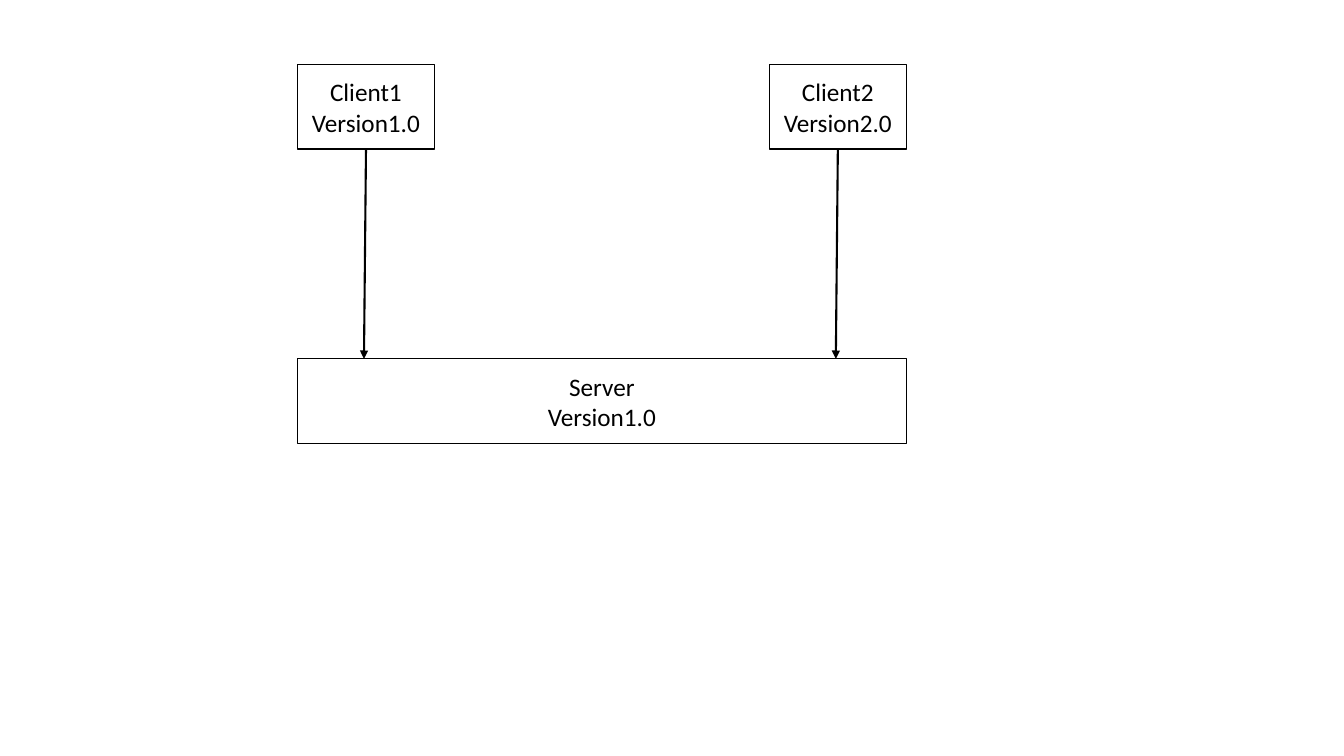
"""Builds a slide with two client versions calling one server."""
from lxml import etree
from pptx import Presentation
from pptx.dml.color import RGBColor
from pptx.enum.shapes import MSO_CONNECTOR, MSO_SHAPE
from pptx.enum.text import MSO_ANCHOR, PP_ALIGN
from pptx.oxml.ns import qn
from pptx.util import Inches, Pt

RECTANGLE = MSO_SHAPE.RECTANGLE
STRAIGHT = MSO_CONNECTOR.STRAIGHT
MIDDLE = MSO_ANCHOR.MIDDLE
CENTER = PP_ALIGN.CENTER

CLIENTS = [("Client1", "Version1.0"), ("Client2", "Version2.0")]
SERVER = ("Server", "Version1.0")

COLORS = {"ink": "000000", "paper": "FFFFFF"}
FONT = "Calibri"
BLANK_LAYOUT = 6

SLIDE_WIDTH, SLIDE_HEIGHT = 13.33, 7.5
LEFT = 2.95
CLIENT_TOP, SERVER_TOP = 0.64, 3.56
CLIENT_WIDTH, BOX_HEIGHT = 1.36, 0.84
CLIENT_PITCH = 4.68
SERVER_WIDTH = CLIENT_PITCH * (len(CLIENTS) - 1) + CLIENT_WIDTH
ARROW_DRIFT = 0.02


def color(key):
    return RGBColor.from_string(COLORS[key])


def add_box(slide, lines, left, top, width):
    box = slide.shapes.add_shape(
        RECTANGLE, Inches(left), Inches(top), Inches(width), Inches(BOX_HEIGHT))
    box.shadow.inherit = False
    box.fill.solid()
    box.fill.fore_color.rgb = color("paper")
    box.line.color.rgb = color("ink")
    box.line.width = Pt(1)
    frame = box.text_frame
    frame.word_wrap = True
    frame.vertical_anchor = MIDDLE
    for index, line in enumerate(lines):
        paragraph = frame.add_paragraph() if index else frame.paragraphs[0]
        paragraph.alignment = CENTER
        run = paragraph.add_run()
        run.text = line
        run.font.name = FONT
        run.font.size = Pt(18)
        run.font.color.rgb = color("ink")
    return box


def add_call(slide, client, center):
    call = slide.shapes.add_connector(
        STRAIGHT, Inches(center), Inches(CLIENT_TOP + BOX_HEIGHT),
        Inches(center - ARROW_DRIFT), Inches(SERVER_TOP))
    call.begin_connect(client, 2)
    call.line.color.rgb = color("ink")
    call.line.width = Pt(1.5)
    etree.SubElement(call.line._get_or_add_ln(), qn("a:tailEnd"), type="triangle")
    etree.SubElement(call._element.spPr, qn("a:effectLst"))


def main():
    deck = Presentation()
    deck.slide_width, deck.slide_height = Inches(SLIDE_WIDTH), Inches(SLIDE_HEIGHT)
    slide = deck.slides.add_slide(deck.slide_layouts[BLANK_LAYOUT])
    lefts = [LEFT + CLIENT_PITCH * column for column in range(len(CLIENTS))]
    clients = [add_box(slide, lines, left, CLIENT_TOP, CLIENT_WIDTH)
               for lines, left in zip(CLIENTS, lefts)]
    add_box(slide, SERVER, LEFT, SERVER_TOP, SERVER_WIDTH)
    for client, left in zip(clients, lefts):
        add_call(slide, client, left + CLIENT_WIDTH / 2)
    deck.save("out.pptx")


if __name__ == "__main__":
    main()
